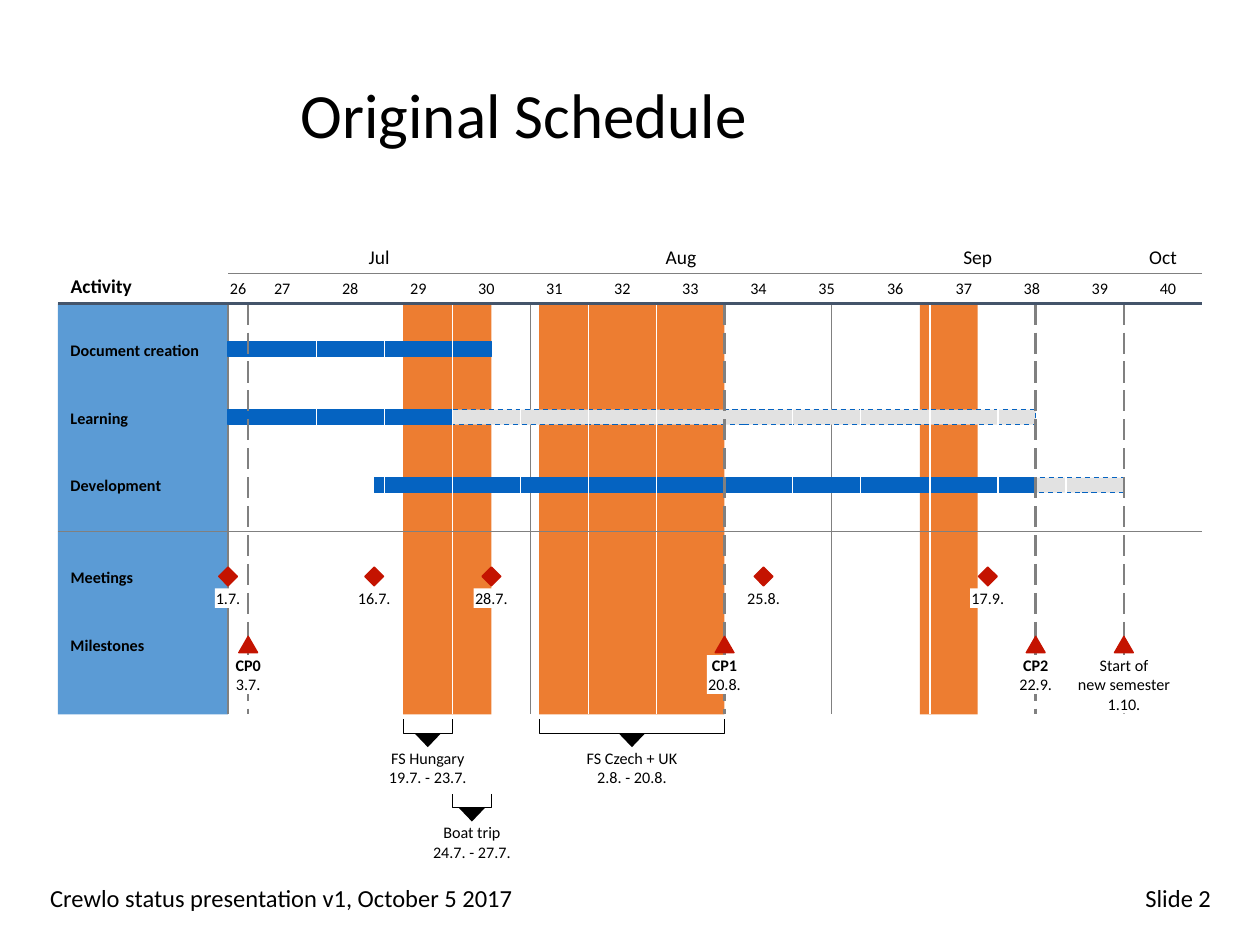
from lxml.etree import SubElement
from pptx import Presentation
from pptx.dml.color import RGBColor
from pptx.enum.dml import MSO_LINE as Dash
from pptx.enum.shapes import MSO_CONNECTOR, MSO_SHAPE as Shape
from pptx.enum.text import MSO_ANCHOR as Anchor, PP_ALIGN as Align
from pptx.oxml.ns import qn
from pptx.util import Emu, Pt

PX = 9144
BLACK = RGBColor(0x00, 0x00, 0x00)
WHITE = RGBColor(0xFF, 0xFF, 0xFF)
GRAY = RGBColor(0x80, 0x80, 0x80)
LIGHT_GRAY = RGBColor(0xE2, 0xE2, 0xE2)
NAVY = RGBColor(0x44, 0x54, 0x6A)
SKY = RGBColor(0x5B, 0x9B, 0xD5)
BLUE = RGBColor(0x05, 0x63, 0xC1)
ORANGE = RGBColor(0xED, 0x7D, 0x31)
RED = RGBColor(0xC4, 0x13, 0x00)

LEFT, RIGHT = 46, 954
HEADER, TOP, BOTTOM = 217, 241, 567
WEEK_27, WEEK_WIDTH = 196.6, 54.09
MONTH_OFFSETS = {7: 0, 8: 31, 9: 62, 10: 92}


def week_x(week):
    return round(WEEK_27 + (week - 27) * WEEK_WIDTH)


def date_x(day, month):
    days = day - 3 + MONTH_OFFSETS[month]
    return round(WEEK_27 + days * WEEK_WIDTH / 7)


def px(*lengths):
    return [Emu(round(length * PX)) for length in lengths]


class Schedule:
    font = "Calibri"
    small, medium, large, huge = 9.2, 11.1, 14, 36

    def __init__(self, presentation):
        self.slide = presentation.slides.add_slide(presentation.slide_layouts[6])

    def fill_text(self, shape, text, size=small, align=Align.LEFT, anchor=Anchor.TOP,
                  bold_lines=0, insets=(0, 0), wrap=False, spacing=None):
        frame = shape.text_frame
        frame.word_wrap = wrap
        frame.vertical_anchor = anchor
        frame.margin_left = frame.margin_right = px(insets[0])[0]
        frame.margin_top = frame.margin_bottom = px(insets[1])[0]
        frame.text = text
        for index, paragraph in enumerate(frame.paragraphs):
            paragraph.alignment = align
            paragraph.line_spacing = spacing
            font = paragraph.runs[0].font
            font.name, font.size = self.font, Pt(size)
            font.bold = index < bold_lines
            font.color.rgb = BLACK

    def text(self, left, top, width, height, text, **style):
        shape = self.slide.shapes.add_textbox(*px(left, top, width, height))
        self.fill_text(shape, text, **style)

    def shape(self, kind, left, top, width, height, fill=None, line=None, dash=None):
        shape = self.slide.shapes.add_shape(kind, *px(left, top, width, height))
        shape.shadow.inherit = False
        if fill is None:
            shape.fill.background()
        else:
            shape.fill.solid()
            shape.fill.fore_color.rgb = fill
        if line is None:
            shape.line.fill.background()
        else:
            shape.line.color.rgb = line
            shape.line.width = Pt(0.75)
            shape.line.dash_style = dash
        return shape

    def line(self, x1, y1, x2, y2, color=GRAY, width=0.75, dash=None):
        line = self.slide.shapes.add_connector(MSO_CONNECTOR.STRAIGHT, *px(x1, y1, x2, y2))
        line.line.color.rgb = color
        line.line.width = Pt(width)
        line.line.dash_style = dash
        SubElement(line._element.spPr, qn("a:effectLst"))

    def upright(self, x, **style):
        self.line(x, TOP, x, BOTTOM, **style)

    def header(self, start, end, top, height, text, size):
        self.text(start, top, end - start, height, text, size=size,
                  align=Align.CENTER, anchor=Anchor.MIDDLE, insets=(0, 4))

    def bar(self, start, end, top, planned=False):
        self.shape(Shape.RECTANGLE, start, top, end - start, 12,
                   LIGHT_GRAY if planned else BLUE, BLUE, Dash.DASH if planned else None)

    def label(self, center, top, width, text, bold_lines=0):
        height = 15.4 * len(text.split("\n"))
        shape = self.shape(Shape.RECTANGLE, center - width / 2, top, width, height, WHITE)
        self.fill_text(shape, text, align=Align.CENTER, bold_lines=bold_lines)

    def event(self, start, end, top, width, text):
        center, span = (start + end) / 2, end - start
        bracket = self.shape(Shape.RIGHT_BRACKET, center - 5.5, top + 5.5 - span / 2,
                             11, span, line=BLACK)
        bracket.rotation = 90
        bracket.adjustments[0] = 0
        pointer = self.shape(Shape.ISOSCELES_TRIANGLE, center - 10.5, top + 11, 21, 11, BLACK)
        pointer.rotation = 180
        self.label(center, top + 23, width, text)


def build_chart(schedule):
    month_starts = [date_x(1, month) for month in MONTH_OFFSETS]
    chart_left, august, september, october = month_starts
    row_edges = [TOP, 304, 358, 422, 485, BOTTOM]
    for top, bottom in zip(row_edges, row_edges[1:]):
        schedule.shape(Shape.RECTANGLE, LEFT, top, chart_left - LEFT, bottom - top, SKY)

    hungary = date_x(19, 7), date_x(24, 7)
    boat = date_x(24, 7), date_x(28, 7)
    czech = date_x(2, 8), date_x(21, 8)
    for start, end in (hungary, boat, czech, (date_x(10, 9), date_x(16, 9))):
        schedule.shape(Shape.RECTANGLE, start, TOP, end - start, BOTTOM - TOP, ORANGE)

    month_ends = month_starts[1:] + [RIGHT]
    for name, start, end in zip(("Jul", "Aug", "Sep", "Oct"), month_starts, month_ends):
        schedule.header(start, end, 190, 27, name, schedule.medium)
        schedule.line(start, HEADER, end, HEADER)
    for week in range(26, 41):
        start = max(week_x(week), chart_left)
        schedule.header(start, week_x(week + 1), HEADER, 24, str(week), schedule.small)
    for x in (chart_left, august, september):
        schedule.upright(x)

    checkpoint = date_x(22, 9)
    schedule.bar(checkpoint, october, 379, planned=True)
    schedule.bar(week_x(30), checkpoint, 325, planned=True)
    schedule.bar(chart_left, week_x(30), 325)
    schedule.bar(date_x(16, 7), checkpoint, 379)
    schedule.bar(chart_left, date_x(28, 7), 271)
    for week in range(28, 41):
        if week != 34:
            schedule.upright(week_x(week), color=WHITE)

    schedule.line(LEFT, 422, RIGHT, 422)
    milestones = (
        (week_x(27), 25, "CP0\n3.7.", 1),
        (week_x(34), 28, "CP1\n20.8.", 1),
        (checkpoint, 28, "CP2\n22.9.", 1),
        (october, 79, "Start of\nnew semester\n1.10.", 0),
    )
    for x, *_ in milestones:
        schedule.upright(x, width=1.5, dash=Dash.LONG_DASH)
    schedule.line(LEFT, TOP, RIGHT, TOP, color=NAVY, width=1.5)

    schedule.event(*hungary, 571, 72, "FS Hungary\n19.7. - 23.7.")
    schedule.event(*boat, 630, 68, "Boat trip\n24.7. - 27.7.")
    schedule.event(*czech, 571, 88, "FS Czech + UK\n2.8. - 20.8.")
    for x, width, text, bold_lines in milestones:
        schedule.shape(Shape.ISOSCELES_TRIANGLE, x - 7.5, 505, 15, 13, RED, RED)
        schedule.label(x, 520, width, text, bold_lines)
    for day, month in ((1, 7), (16, 7), (28, 7), (25, 8), (17, 9)):
        x = date_x(day, month)
        schedule.shape(Shape.DIAMOND, x - 7.5, 450, 15, 15, RED, RED)
        schedule.label(x, 467, 21 if day < 10 else 28, f"{day}.{month}.")

    schedule.text(56, 218, 55, 18, "Activity", size=schedule.medium,
                  anchor=Anchor.BOTTOM, bold_lines=1)
    activities = (("Document creation", 270, 116), ("Learning", 324, 54),
                  ("Development", 377, 80), ("Meetings", 450, 55), ("Milestones", 504, 66))
    for name, top, width in activities:
        schedule.text(56, top, width, 15, name, bold_lines=1)


def main():
    presentation = Presentation()
    presentation.slide_width, presentation.slide_height = px(1000, 750)
    schedule = Schedule(presentation)
    footer = dict(size=schedule.large, insets=(10, 5), wrap=True)
    schedule.text(30, 696, 530, 34, "Crewlo status presentation v1, October 5 2017", **footer)
    schedule.text(697, 696, 274, 34, "Slide 2", align=Align.RIGHT, **footer)
    schedule.text(229, 47, 733, 94, "Original Schedule", size=schedule.huge,
                  anchor=Anchor.MIDDLE, insets=(10, 5), wrap=True, spacing=0.9)
    build_chart(schedule)
    presentation.save("out.pptx")


if __name__ == "__main__":
    main()
